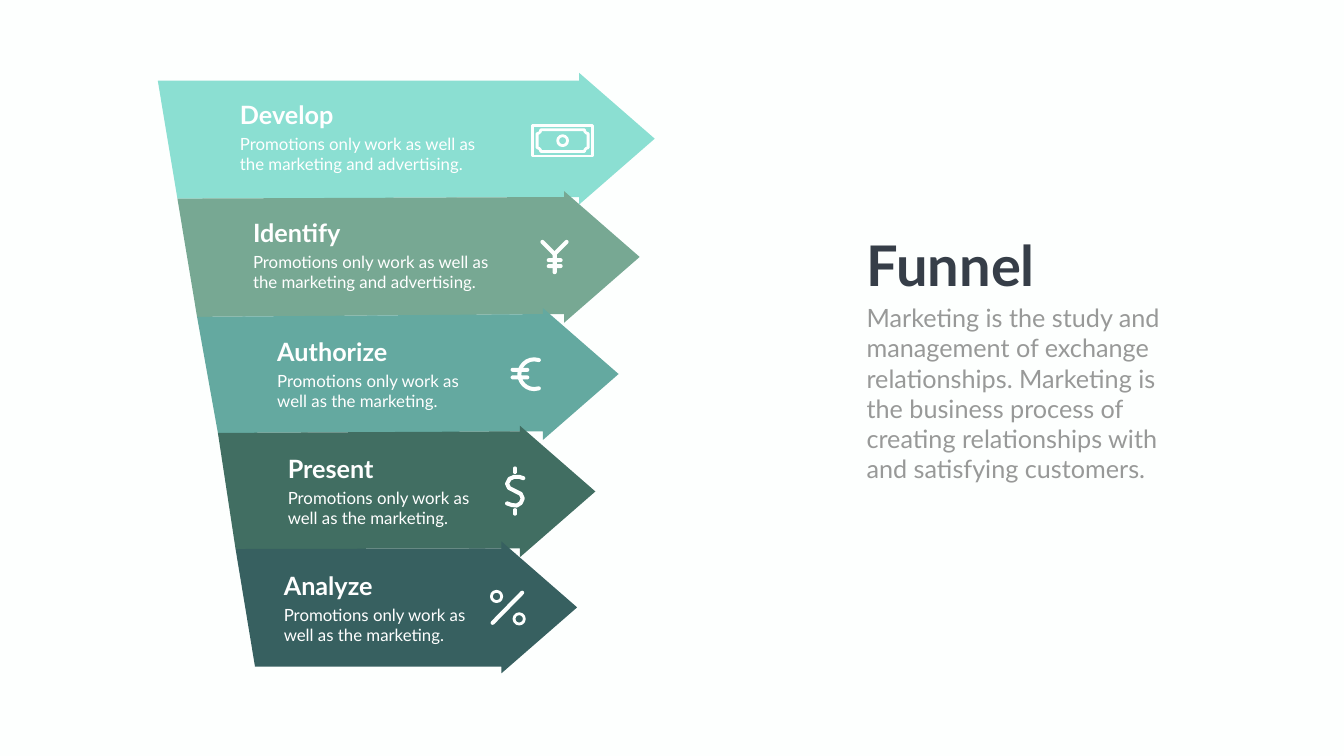
from dataclasses import dataclass

from lxml import etree
from pptx import Presentation
from pptx.dml.color import RGBColor
from pptx.enum import shapes, text
from pptx.oxml import ns
from pptx.util import Cm, Pt


@dataclass(frozen=True)
class Theme:
    font: str = "Lato"
    back: str = "FDFFFE"
    white: str = "FFFFFF"
    dark: str = "363E48"
    grey: str = "989998"
    steps: tuple = ("8BDFD2", "77A893", "64A9A0", "416E62", "376060")
    title: int = 80
    large: int = 36
    small: int = 24
    thick: float = 5.8
    thin: float = 4


def write(tf, content, size, color, bold=False, wrap=True):
    """Put one left-aligned, formatted paragraph in a text frame."""
    tf.word_wrap = wrap
    tf.auto_size = text.MSO_AUTO_SIZE.NONE
    tf.vertical_anchor = text.MSO_ANCHOR.TOP
    p = tf.paragraphs[0]
    pPr = p._p.get_or_add_pPr()
    pPr.set("marL", "0")
    pPr.set("indent", "0")
    etree.SubElement(pPr, ns.qn("a:buNone"))
    p.alignment = text.PP_ALIGN.LEFT
    p.space_before = Pt(0)
    r = p.add_run()
    r.text = content
    r.font.name, r.font.size, r.font.bold = Theme.font, Pt(size), bold
    r.font.color.rgb = RGBColor.from_string(color)


class Deck:
    """Style and current slide; all lengths are in centimetres."""

    def __init__(self, theme, width, height):
        self.theme = theme
        self.prs = Presentation()
        self.prs.slide_width, self.prs.slide_height = Cm(width), Cm(height)
        self.s = self.prs.slides.add_slide(self.prs.slide_layouts[1])
        self.paint(self.s.background, theme.back)

    def paint(self, target, color):
        target.fill.solid()
        target.fill.fore_color.rgb = RGBColor.from_string(color)

    def placeholder(self, idx, x, y, w, h, content, **fmt):
        sp = self.s.placeholders[idx]
        sp.left, sp.top, sp.width, sp.height = Cm(x), Cm(y), Cm(w), Cm(h)
        write(sp.text_frame, content, **fmt)

    def label(self, x, y, w, h, content, **fmt):
        sp = self.s.shapes.add_textbox(Cm(x), Cm(y), Cm(w), Cm(h))
        write(sp.text_frame, content, **fmt)

    def freeform(self, points, close):
        pts = [(Cm(x), Cm(y)) for x, y in points]
        fb = self.s.shapes.build_freeform(*pts[0])
        fb.add_line_segments(pts[1:], close=close)
        sp = fb.convert_to_shape()
        sp.shadow.inherit = False
        return sp

    def polygon(self, points, color):
        sp = self.freeform(points, True)
        self.paint(sp, color)
        sp.line.fill.background()

    def ink(self, line, width):
        """Light line with round ends and joins."""
        line.color.rgb = RGBColor.from_string(self.theme.back)
        line.width = Pt(width)
        ln = line._get_or_add_ln()
        ln.set("cap", "rnd")
        etree.SubElement(ln, ns.qn("a:round"))

    def curve(self, points):
        sp = self.freeform(points, False)
        sp.fill.background()
        self.ink(sp.line, self.theme.thick)

    def line(self, x1, y1, x2, y2):
        cn = self.s.shapes.add_connector(
            shapes.MSO_CONNECTOR.STRAIGHT, Cm(x1), Cm(y1), Cm(x2), Cm(y2))
        self.ink(cn.line, self.theme.thick)
        etree.SubElement(cn._element.spPr, ns.qn("a:effectLst"))

    def preset(self, kind, cx, cy, w, h, adjust=()):
        """Preset shape around a centre."""
        sp = self.s.shapes.add_shape(
            kind, Cm(cx - w / 2), Cm(cy - h / 2), Cm(w), Cm(h))
        sp.shadow.inherit = False
        for i, value in enumerate(adjust):
            sp.adjustments[i] = value
        return sp

    def outline(self, kind, cx, cy, w, h, width, adjust=()):
        sp = self.preset(kind, cx, cy, w, h, adjust)
        sp.fill.background()
        self.ink(sp.line, width)

    def bar(self, cx, cy, w, h):
        """Filled bar with round ends."""
        kind = shapes.MSO_SHAPE.ROUNDED_RECTANGLE
        sp = self.preset(kind, cx, cy, w, h, [0.5])
        self.paint(sp, self.theme.back)
        sp.line.fill.background()


# Slanted left edge of the funnel: x, y at the edge, y at the arrow neck
EDGES = [(7.95, 4.06, 4.06), (8.94, 10.01, 9.93), (9.93, 15.97, 15.83),
         (10.98, 21.82, 21.74), (11.87, 27.67, 27.64), (12.85, 33.6, 33.6)]
LONG = "Promotions only work as well as the marketing and advertising."
SHORT = "Promotions only work as well as the marketing."
# Heading, description, neck x, middle y, text x, text y, text width
STEPS = [("Develop", LONG, 29.18, 6.99, 11.84, 4.9, 12.88),
         ("Identify", LONG, 28.42, 12.95, 12.5, 10.82, 12.88),
         ("Authorize", SHORT, 27.36, 18.85, 13.72, 16.84, 10.77),
         ("Present", SHORT, 26.19, 24.77, 14.25, 22.73, 10.77),
         ("Analyze", SHORT, 25.27, 30.61, 14.05, 28.6, 10.77)]
HEAD, WING = 3.81, 3.32
DOLLAR = [(26.37, 24.1), (26.16, 24.03), (25.91, 24.03), (25.68, 24.13),
          (25.55, 24.38), (25.65, 24.59), (25.96, 24.75), (26.24, 24.89),
          (26.34, 25.12), (26.24, 25.35), (26.04, 25.48), (25.78, 25.45),
          (25.55, 25.37)]


def draw_icons(d):
    t, kinds = d.theme, shapes.MSO_SHAPE
    # Banknote
    d.outline(kinds.RECTANGLE, 28.35, 7.1, 3.01, 1.52, t.thin)
    d.outline(kinds.PLAQUE, 28.35, 7.09, 2.57, 1.09, t.thin, [0.17])
    d.outline(kinds.OVAL, 28.35, 7.09, 0.5, 0.5, t.thin)
    # Yen
    for x in (27.33, 28.55):
        d.line(27.94, 12.8, x, 12.19)
    d.bar(27.95, 13.26, 0.22, 1.12)
    for y in (13.11, 13.41):
        d.bar(27.95, y, 0.8, 0.2)
    # Euro: arc angles are in units of 0.6 per degree
    d.outline(kinds.ARC, 26.92, 18.86, 1.5, 1.5, t.thick, [72 * 0.6, 288 * 0.6])
    for y in (18.64, 19.02):
        d.bar(26.2, y, 0.94, 0.2)
    # Dollar
    d.curve(DOLLAR)
    for y in (23.7, 25.8):
        d.bar(25.95, y, 0.2, 0.38)
    # Percent
    d.line(24.82, 31.39, 26.31, 29.87)
    for x, y in [(25.02, 30.06), (26.16, 31.19)]:
        d.outline(kinds.OVAL, x, y, 0.52, 0.52, t.thin)


def main():
    t = Theme()
    d = Deck(t, 67.72, 38.1)

    # Title and introduction
    d.placeholder(0, 43.41, 11.51, 9.22, 3.68, "Funnel",
                  size=t.title, color=t.dark, bold=True, wrap=False)
    d.placeholder(1, 43.41, 15.11, 16.61, 9.5,
                  "Marketing is the study and management of exchange "
                  "relationships. Marketing is the business process of "
                  "creating relationships with and satisfying customers.",
                  size=t.large, color=t.grey)

    # Funnel arrows
    for (_, _, neck, mid, *_), upper, lower, color in zip(
            STEPS, EDGES, EDGES[1:], t.steps):
        d.polygon([(neck + HEAD, mid), (neck, mid - WING), (neck, upper[2]),
                   upper[:2], lower[:2], (neck, lower[2]),
                   (neck, mid + WING)], color)

    draw_icons(d)

    # Step texts
    for heading, detail, _, _, x, y, w in STEPS:
        d.label(x, y, 6.63, 1.8, heading,
                size=t.large, color=t.white, bold=True)
        d.label(x, y + 1.73, w, 2.31, detail, size=t.small, color=t.white)

    d.prs.save("out.pptx")


if __name__ == "__main__":
    main()
